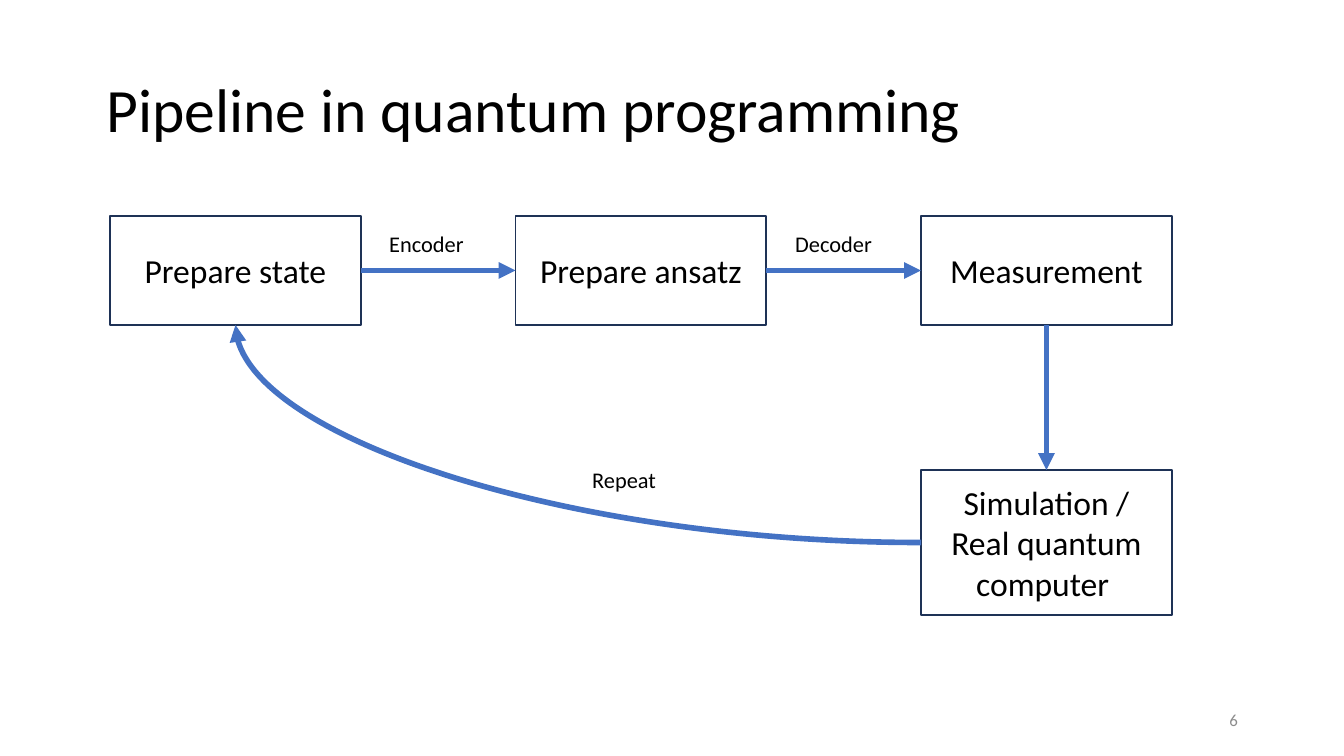
from dataclasses import dataclass

from pptx import Presentation
from pptx import util as u
from pptx.dml.color import RGBColor
from pptx.enum import shapes as sh, text as tx
from pptx.oxml.ns import qn
from lxml import etree

# Content: boxes as name -> (text, column, top, height), in px
BOXES = {
    "state": ("Prepare state", 0, 216, 109),
    "ansatz": ("Prepare ansatz", 1, 216, 109),
    "measure": ("Measurement", 2, 216, 109),
    "run": ("Simulation / Real quantum computer ", 2, 470, 145),
}
# Arrows: from box, side, to box, side
TOP, LEFT, BOTTOM, RIGHT = range(4)
ARROWS = [
    ("state", RIGHT, "ansatz", LEFT),
    ("ansatz", RIGHT, "measure", LEFT),
    ("measure", BOTTOM, "run", TOP),
    ("run", LEFT, "state", BOTTOM),
]
LABELS = [("Encoder", 376, 224), ("Decoder", 782, 224), ("Repeat", 579, 460)]
TITLE = "Pipeline in quantum programming"
PAGE = "6"


@dataclass(frozen=True)
class Theme:
    font: str = "Calibri"
    ink: str = "000000"
    edge: str = "1E3256"
    flow: str = "4472C4"
    mute: str = "8C8C8C"
    head: int = 33
    body: int = 18
    note: int = 12
    foot: int = 9


T = Theme()
SCALE = 914400 / 134.4
X0, STEP, WIDE = 110, 405.5, 251


def px(*vals):
    return [u.Emu(round(v * SCALE)) for v in vals]


def rgb(code):
    return RGBColor.from_string(code)


def apply(obj, fmt):
    for key, val in fmt.items():
        setattr(obj, key, val)


def write(shape, words, size, color=T.ink, align=tx.PP_ALIGN.LEFT,
          anchor=tx.MSO_ANCHOR.MIDDLE, space=1.0):
    frame = shape.text_frame
    apply(frame, {"word_wrap": True, "vertical_anchor": anchor})
    para = frame.paragraphs[0]
    apply(para, {"alignment": align, "line_spacing": space})
    run = para.add_run()
    run.text = words
    apply(run.font, {"name": T.font, "size": u.Pt(size)})
    run.font.color.rgb = rgb(color)


def stroke(line, color, width):
    line.color.rgb = rgb(color)
    line.width = u.Pt(width)


def link(slide, start, out, end, into):
    # Sides of different direction are joined by a single-bend curve
    bend = out % 2 != into % 2
    kind = sh.MSO_CONNECTOR.CURVE if bend else sh.MSO_CONNECTOR.STRAIGHT
    arrow = slide.shapes.add_connector(kind, 0, 0, 0, 0)
    arrow.begin_connect(start, out)
    arrow.end_connect(end, into)
    stroke(arrow.line, T.flow, 3)
    props = arrow._element.spPr
    if bend:
        props.find(qn("a:prstGeom")).set("prst", "curvedConnector2")
        # A half turn replaces the two flips
        form = props.find(qn("a:xfrm"))
        for key in ("flipH", "flipV"):
            form.attrib.pop(key, None)
        form.set("rot", str(180 * 60000))
    etree.SubElement(props.find(qn("a:ln")), qn("a:tailEnd"), type="triangle")
    etree.SubElement(props, qn("a:effectLst"))


def main():
    deck = Presentation()
    deck.slide_width, deck.slide_height = px(1344, 756)
    slide = deck.slides.add_slide(deck.slide_layouts[6])
    add = slide.shapes

    # Title and page number
    write(add.add_textbox(*px(93, 40, 1158, 146)), TITLE, T.head, space=0.9)
    write(add.add_textbox(*px(949, 700, 302, 40)), PAGE, T.foot, T.mute,
          tx.PP_ALIGN.RIGHT)

    # Boxes
    made = {}
    for name, (words, col, top, high) in BOXES.items():
        box = add.add_shape(sh.MSO_SHAPE.RECTANGLE,
                            *px(X0 + col * STEP, top, WIDE, high))
        box.shadow.inherit = False
        box.fill.background()
        stroke(box.line, T.edge, 1)
        write(box, words, T.body, align=tx.PP_ALIGN.CENTER)
        made[name] = box

    # Arrows and their labels
    for start, out, end, into in ARROWS:
        link(slide, made[start], out, made[end], into)
    for words, left, top in LABELS:
        write(add.add_textbox(*px(left, top, 124, 40)), words, T.note,
              anchor=tx.MSO_ANCHOR.TOP)

    deck.save("out.pptx")


if __name__ == "__main__":
    main()
